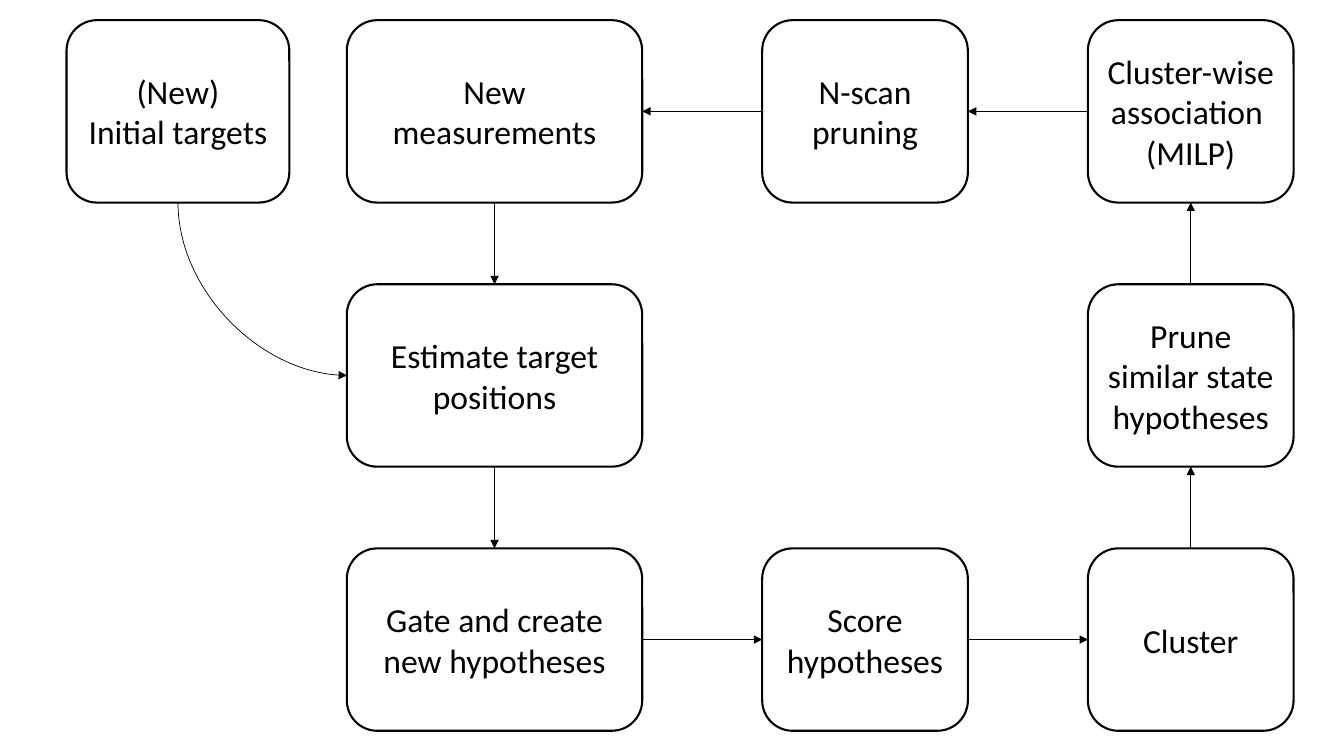
from pptx import Presentation
from pptx.dml.color import RGBColor
from pptx.enum.shapes import MSO_CONNECTOR as CONN, MSO_SHAPE as SHAPE
from pptx.enum.text import MSO_ANCHOR as ANCHOR, PP_ALIGN as ALIGN
from pptx.oxml.ns import qn
from pptx.util import Inches, Pt
from lxml.etree import SubElement

COLORS = {"ink": "000000"}
FONT = "Calibri"
COLUMNS = [(0.66, 2.21), (3.44, 2.93), (7.56, 2.04), (10.79, 2.04)]
TOP, ROW_STEP, BOX_HEIGHT = 0.2, 2.62, 1.81
UP, LEFT, DOWN, RIGHT = range(4)

BOXES = {
    "initial": (0, 0, ["(New)", "Initial targets"]),
    "measure": (1, 0, ["New measurements"]),
    "estimate": (1, 1, ["Estimate target positions"]),
    "gate": (1, 2, ["Gate and create new hypotheses"]),
    "score": (2, 2, ["Score hypotheses"]),
    "cluster": (3, 2, ["Cluster"]),
    "prune": (3, 1, ["Prune similar state hypotheses"]),
    "associate": (3, 0, ["Cluster-wise association ", "(MILP)"]),
    "n_scan": (2, 0, ["N-scan pruning"]),
}
ARROWS = [
    ("measure", DOWN, "estimate", UP),
    ("estimate", DOWN, "gate", UP),
    ("gate", RIGHT, "score", LEFT),
    ("score", RIGHT, "cluster", LEFT),
    ("cluster", UP, "prune", DOWN),
    ("prune", UP, "associate", DOWN),
    ("associate", LEFT, "n_scan", RIGHT),
    ("n_scan", LEFT, "measure", RIGHT),
]


def ink():
    return RGBColor.from_string(COLORS["ink"])


def set_line(sp, width):
    sp.line.color.rgb = ink()
    sp.line.width = Pt(width)


def add_box(s, column, row, lines):
    left, width = COLUMNS[column]
    top = TOP + row * ROW_STEP
    sp = s.shapes.add_shape(SHAPE.ROUNDED_RECTANGLE, Inches(left), Inches(top),
                            Inches(width), Inches(BOX_HEIGHT))
    sp.shadow.inherit = False
    sp.fill.background()
    set_line(sp, 1.5)
    tf = sp.text_frame
    tf.word_wrap = True
    tf.vertical_anchor = ANCHOR.MIDDLE
    for i, line in enumerate(lines):
        p = tf.paragraphs[0] if i == 0 else tf.add_paragraph()
        p.alignment = ALIGN.CENTER
        r = p.add_run()
        r.text = line
        r.font.name = FONT
        r.font.size = Pt(24)
        r.font.color.rgb = ink()
    return sp


def add_arrow(s, start, start_side, end, end_side, kind=CONN.STRAIGHT):
    cx = s.shapes.add_connector(kind, 0, 0, 0, 0)
    cx.begin_connect(start, start_side)
    cx.end_connect(end, end_side)
    set_line(cx, 0.5)
    SubElement(cx.line._get_or_add_ln(), qn("a:tailEnd"), type="triangle")
    SubElement(cx._element.spPr, qn("a:effectLst"))
    return cx


def add_quarter_arrow(s, start, end):
    cx = add_arrow(s, start, DOWN, end, LEFT, CONN.CURVE)
    mid_x, mid_y = cx.left + cx.width // 2, cx.top + cx.height // 2
    cx.width, cx.height = cx.height, cx.width
    cx.left, cx.top = mid_x - cx.width // 2, mid_y - cx.height // 2
    spPr = cx._element.spPr
    xfrm = spPr.find(qn("a:xfrm"))
    xfrm.set("rot", str(270 * 60000))
    xfrm.set("flipH", "1")
    spPr.find(qn("a:prstGeom")).set("prst", "curvedConnector2")


def main():
    prs = Presentation()
    prs.slide_width, prs.slide_height = Inches(13.33), Inches(7.5)
    s = prs.slides.add_slide(prs.slide_layouts[6])
    boxes = {name: add_box(s, *place) for name, place in BOXES.items()}
    for start, start_side, end, end_side in ARROWS:
        add_arrow(s, boxes[start], start_side, boxes[end], end_side)
    add_quarter_arrow(s, boxes["initial"], boxes["estimate"])
    prs.save("out.pptx")


main()
